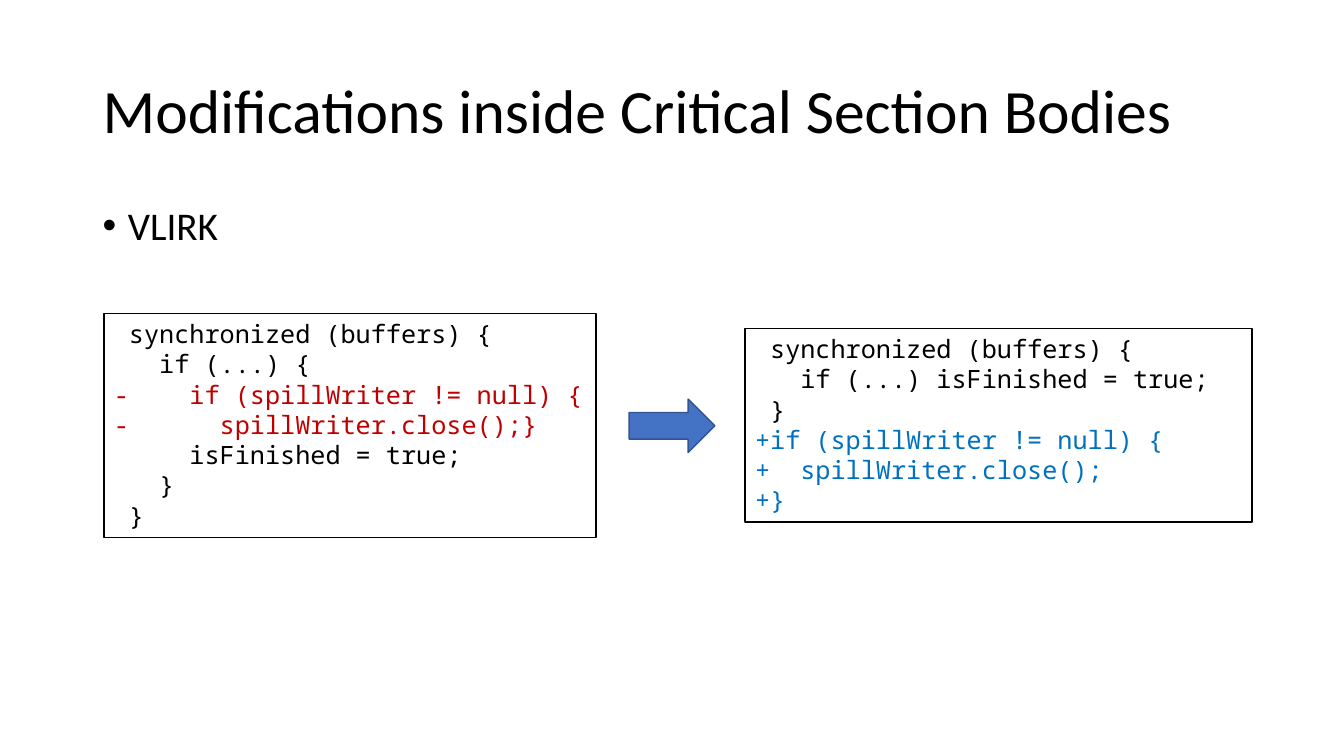
from lxml import etree
from pptx import Presentation
from pptx.dml.color import RGBColor
from pptx.enum import shapes, text
from pptx.oxml import ns
from pptx.util import Inches, Pt

BLACK = RGBColor(0x00, 0x00, 0x00)
WHITE = RGBColor(0xFF, 0xFF, 0xFF)
REMOVED_RED = RGBColor(0xC0, 0x00, 0x00)
ADDED_BLUE = RGBColor(0x00, 0x70, 0xC0)
ARROW_FILL = RGBColor(0x44, 0x72, 0xC4)
ARROW_LINE = RGBColor(0x32, 0x54, 0x91)
LINE_COLORS = {"-": REMOVED_RED, "+": ADDED_BLUE}

CODE_BEFORE = """\
 synchronized (buffers) {
   if (...) {
-    if (spillWriter != null) {
-      spillWriter.close();}
     isFinished = true;
   }
 }"""
CODE_AFTER = """\
 synchronized (buffers) {
   if (...) isFinished = true;
 }
+if (spillWriter != null) {
+  spillWriter.close();
+}"""


def style_font(font, name, size, color):
    font.name = name
    font.size = Pt(size)
    font.color.rgb = color


def add_outlined_shape(kind, place, fill, line):
    shape = page.shapes.add_shape(kind, *map(Inches, place))
    shape.shadow.inherit = False
    shape.fill.solid()
    shape.fill.fore_color.rgb = fill
    shape.line.color.rgb = line
    shape.line.width = Pt(1)
    return shape


deck = Presentation()
deck.slide_width = Inches(13.33)
deck.slide_height = Inches(7.5)
page = deck.slides.add_slide(deck.slide_layouts[6])

# Title and bullet
for words, top, height, size, anchor in [
    ("Modifications inside Critical Section Bodies", 0.4, 1.45, 44, text.MSO_ANCHOR.MIDDLE),
    ("VLIRK", 2, 4.76, 28, text.MSO_ANCHOR.TOP),
]:
    box = page.shapes.add_textbox(Inches(0.92), Inches(top), Inches(11.5), Inches(height))
    frame = box.text_frame
    frame.word_wrap = True
    frame.vertical_anchor = anchor
    frame.text = words
    para = frame.paragraphs[0]
    para.line_spacing = 0.9
    style_font(para.runs[0].font, "Calibri", size, BLACK)

# The last box holds the bullet
para.space_before = Pt(10)
properties = para._p.get_or_add_pPr()
properties.set("marL", str(Inches(0.25)))
properties.set("indent", str(Inches(-0.25)))
etree.SubElement(properties, ns.qn("a:buFont"), typeface="Arial")
etree.SubElement(properties, ns.qn("a:buChar"), char="•")

# Code before and after the change
for code, place in [
    (CODE_BEFORE, (1.03, 3.11, 4.88, 2.22)),
    (CODE_AFTER, (7.39, 3.26, 5.03, 1.92)),
]:
    box = add_outlined_shape(shapes.MSO_SHAPE.RECTANGLE, place, WHITE, BLACK)
    frame = box.text_frame
    frame.word_wrap = True
    frame.vertical_anchor = text.MSO_ANCHOR.TOP
    frame.text = code
    for para in frame.paragraphs:
        para.alignment = text.PP_ALIGN.LEFT
        span = para.runs[0]
        style_font(span.font, "Noto Sans Mono", 18, LINE_COLORS.get(span.text[0], BLACK))

add_outlined_shape(shapes.MSO_SHAPE.RIGHT_ARROW, (6.24, 3.96, 0.85, 0.53), ARROW_FILL, ARROW_LINE)

deck.save("out.pptx")
